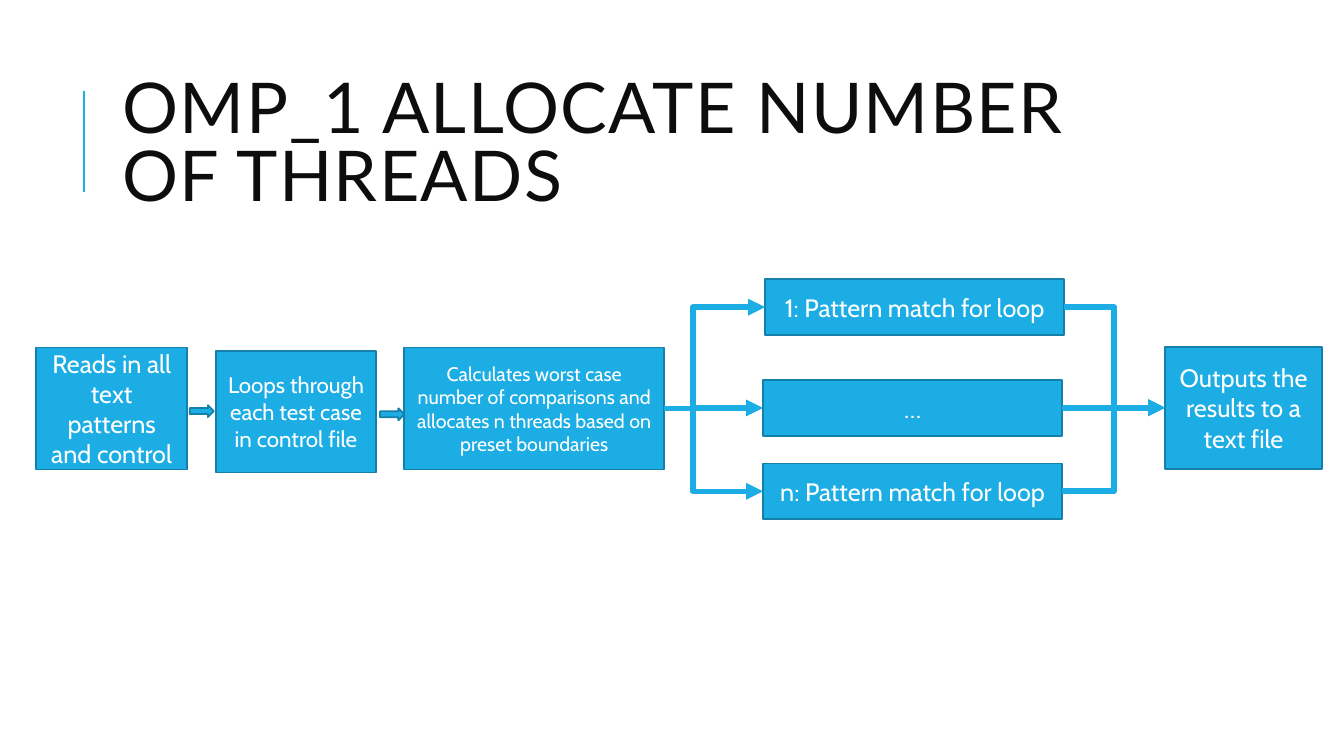
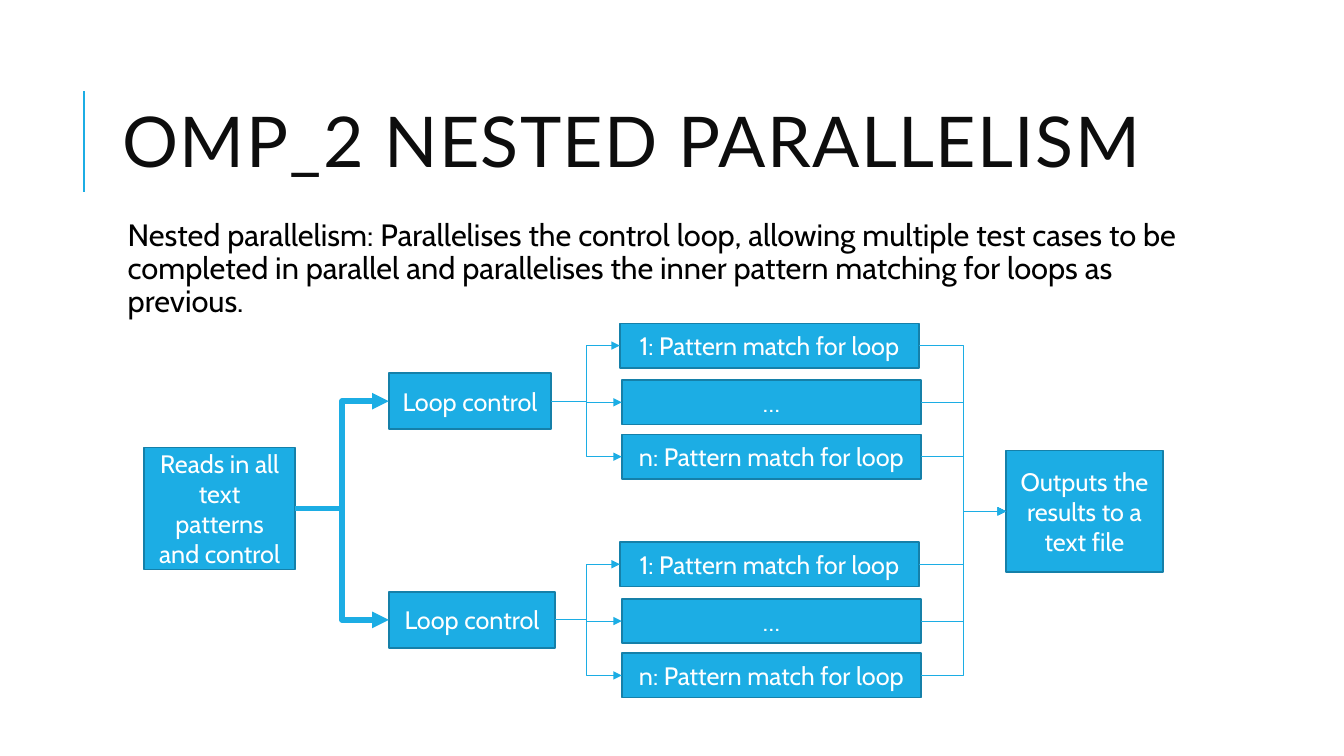
from lxml import etree
from pptx import Presentation
from pptx.dml.color import RGBColor
from pptx.enum.shapes import MSO_CONNECTOR, MSO_SHAPE
from pptx.enum.text import MSO_ANCHOR, PP_ALIGN
from pptx.oxml.ns import qn
from pptx.util import Cm, Pt

STRAIGHT, ELBOW = MSO_CONNECTOR.STRAIGHT, MSO_CONNECTOR.ELBOW
BOX, ARROW = MSO_SHAPE.ROUNDED_RECTANGLE, MSO_SHAPE.RIGHT_ARROW
TOP, MIDDLE = MSO_ANCHOR.TOP, MSO_ANCHOR.MIDDLE
LEFT, CENTER = PP_ALIGN.LEFT, PP_ALIGN.CENTER
LEFT_SITE, RIGHT_SITE = 1, 3

BLUE, EDGE = "1CADE4", "1580A9"
WHITE, INK, BLACK = "FFFFFF", "0D0D0D", "000000"

TITLE_FONT = {"name": "Lato", "size": Pt(50)}
BODY_FONT = {"name": "Cabin", "size": Pt(22)}
BOX_FONT = {"name": "Cabin", "size": Pt(18)}
TITLE_PARA = {"alignment": LEFT, "line_spacing": 0.8}
BODY_PARA = {"alignment": LEFT, "line_spacing": 0.9,
             "space_before": Pt(12), "space_after": Pt(2)}
BOX_PARA = {"alignment": CENTER}
TITLE_FRAME = {"word_wrap": True, "vertical_anchor": MIDDLE}
BODY_FRAME = {"word_wrap": True, "vertical_anchor": TOP,
              "margin_left": Cm(0.38), "margin_right": Cm(0.13),
              "margin_top": Cm(0.13), "margin_bottom": Cm(0.13)}

READ = "Reads in all text patterns and control"
OUTPUT = "Outputs the results to a text file"
LOOPS = ["1: Pattern match for loop", "…", "n: Pattern match for loop"]


def rgb(value):
    """Turn a hex string into a colour."""
    return RGBColor.from_string(value)


def set_all(target, values):
    """Set each attribute of a format dict on an object."""
    for name, value in values.items():
        setattr(target, name, value)


class Deck:
    """Holds the shared style and the current slide."""

    def __init__(self):
        """Start a widescreen presentation."""
        self.prs = Presentation()
        self.prs.slide_width, self.prs.slide_height = Cm(33.87), Cm(19.05)
        self.s = None

    def slide(self, title):
        """Add a slide with its title and the rule beside it."""
        self.s = self.prs.slides.add_slide(self.prs.slide_layouts[6])
        rule = self.s.shapes.add_connector(
            STRAIGHT, Cm(2.11), Cm(4.83), Cm(2.11), Cm(2.29))
        self.stroke(rule, 1.5)
        r = self.textbox(title, (2.84, 1.63, 27, 4.17), INK,
                         TITLE_FONT, TITLE_PARA, TITLE_FRAME)
        r.font._element.set("spc", "100")

    def put_text(self, sp, text, color, font, para, frame):
        """Put one formatted paragraph into a shape and return its run."""
        tf = sp.text_frame
        set_all(tf, frame)
        p = tf.paragraphs[0]
        set_all(p, para)
        r = p.add_run()
        r.text = text
        set_all(r.font, font)
        r.font.color.rgb = rgb(color)
        return r

    def textbox(self, text, at, color, font, para, frame):
        """Add a text box and return its run."""
        sp = self.s.shapes.add_textbox(*map(Cm, at))
        return self.put_text(sp, text, color, font, para, frame)

    def body(self, text):
        """Add the paragraph below the title."""
        self.textbox(text, (2.84, 5.41, 27.51, 11.18), BLACK,
                     BODY_FONT, BODY_PARA, BODY_FRAME)

    def shape(self, kind, at):
        """Add a blue shape with a darker edge."""
        sp = self.s.shapes.add_shape(kind, *map(Cm, at))
        sp.shadow.inherit = False
        sp.fill.solid()
        sp.fill.fore_color.rgb = rgb(BLUE)
        sp.line.color.rgb = rgb(EDGE)
        sp.line.width = Pt(1.25)
        return sp

    def box(self, text, *at, size=18):
        """Add a square-cornered step with centred text."""
        sp = self.shape(BOX, at)
        sp.adjustments[0] = 0
        self.put_text(sp, text, WHITE, {**BOX_FONT, "size": Pt(size)},
                      BOX_PARA, TITLE_FRAME)
        return sp

    def arrow(self, x, y):
        """Add a small block arrow between two steps."""
        self.shape(ARROW, (x, y, 0.61, 0.3))

    def stroke(self, line, width):
        """Colour a connector and remove its shadow."""
        line.line.color.rgb = rgb(BLUE)
        line.line.width = Pt(width)
        etree.SubElement(line._element.spPr, qn("a:effectLst"))

    def link(self, start, end, width, bend):
        """Join two steps with an elbow arrow that turns at x = bend."""
        line = self.s.shapes.add_connector(ELBOW, 0, 0, 0, 0)
        line.begin_connect(start, RIGHT_SITE)
        line.end_connect(end, LEFT_SITE)
        self.stroke(line, width)
        props = line._element.spPr
        etree.SubElement(props.find(qn("a:ln")), qn("a:tailEnd"),
                         type="triangle")
        share = (Cm(bend) - line.begin_x) / (line.end_x - line.begin_x)
        guides = props.find(".//" + qn("a:avLst"))
        etree.SubElement(guides, qn("a:gd"), name="adj1",
                         fmla=f"val {round(share * 100000)}")

    def fan(self, start, end, lefts, tops, height, width, bends):
        """Stack the parallel loops and link them to the steps around."""
        for text, x, y in zip(LOOPS, lefts, tops):
            loop = self.box(text, x, y, 7.54, height)
            self.link(start, loop, width, bends[0])
            self.link(loop, end, width, bends[1])


def threads_slide(deck):
    """Build the slide on allocating threads."""
    deck.slide("OMP_1 ALLOCATE NUMBER OF THREADS")
    deck.box(READ, 0.91, 8.76, 3.81, 3.07)
    deck.arrow(4.78, 10.21)
    deck.box("Loops through each test case in control file",
             5.44, 8.84, 4.04, 3.07, size=16)
    deck.arrow(9.58, 10.29)
    allocate = deck.box("Calculates worst case number of comparisons and "
                        "allocates n threads based on preset boundaries",
                        10.19, 8.76, 6.55, 3.07, size=14)
    output = deck.box(OUTPUT, 29.36, 8.74, 3.96, 3.07)
    deck.fan(allocate, output, (19.28, 19.23, 19.23), (7.04, 9.58, 11.68),
             1.4, 4, (17.46, 28.08))


def nested_slide(deck):
    """Build the slide on nested parallelism."""
    deck.slide("OMP_2 NESTED PARALLELISM")
    deck.body("Nested parallelism: Parallelises the control loop, allowing "
              "multiple test cases to be completed in parallel and "
              "parallelises the inner pattern matching for loops as previous.")
    read = deck.box(READ, 3.63, 11.28, 3.81, 3.07)
    output = deck.box(OUTPUT, 25.35, 11.35, 3.96, 3.07)
    for drop, width in ((0, 4.09), (5.51, 4.19)):
        control = deck.box("Loop control", 9.8, 9.4 + drop, width, 1.42)
        deck.link(read, control, 4, 8.62)
        tops = [y + drop for y in (8.15, 9.58, 10.95)]
        deck.fan(control, output, (15.62, 15.67, 15.67), tops,
                 1.12, 0.75, (14.78, 24.28))


deck = Deck()
threads_slide(deck)
nested_slide(deck)
deck.prs.save("out.pptx")
